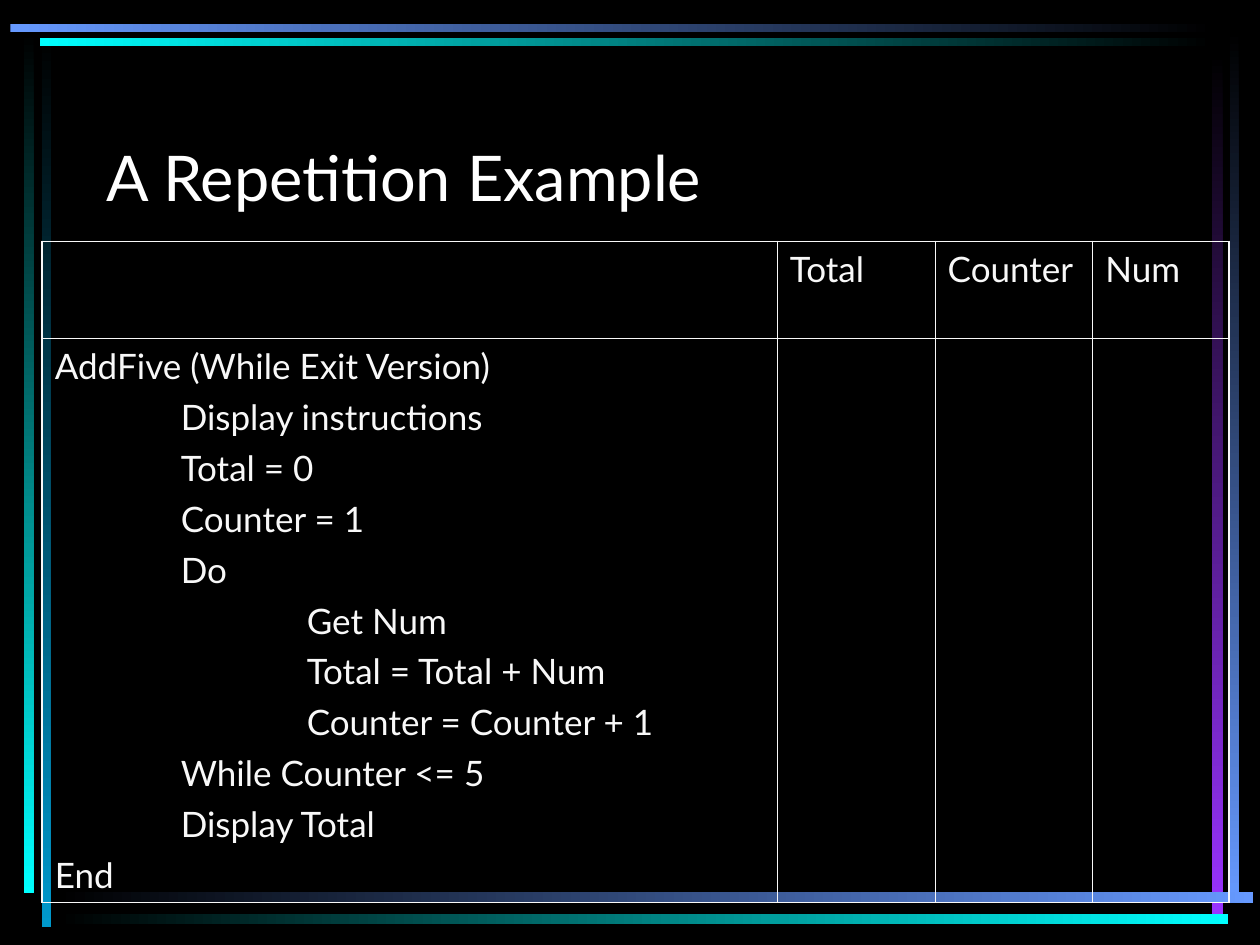
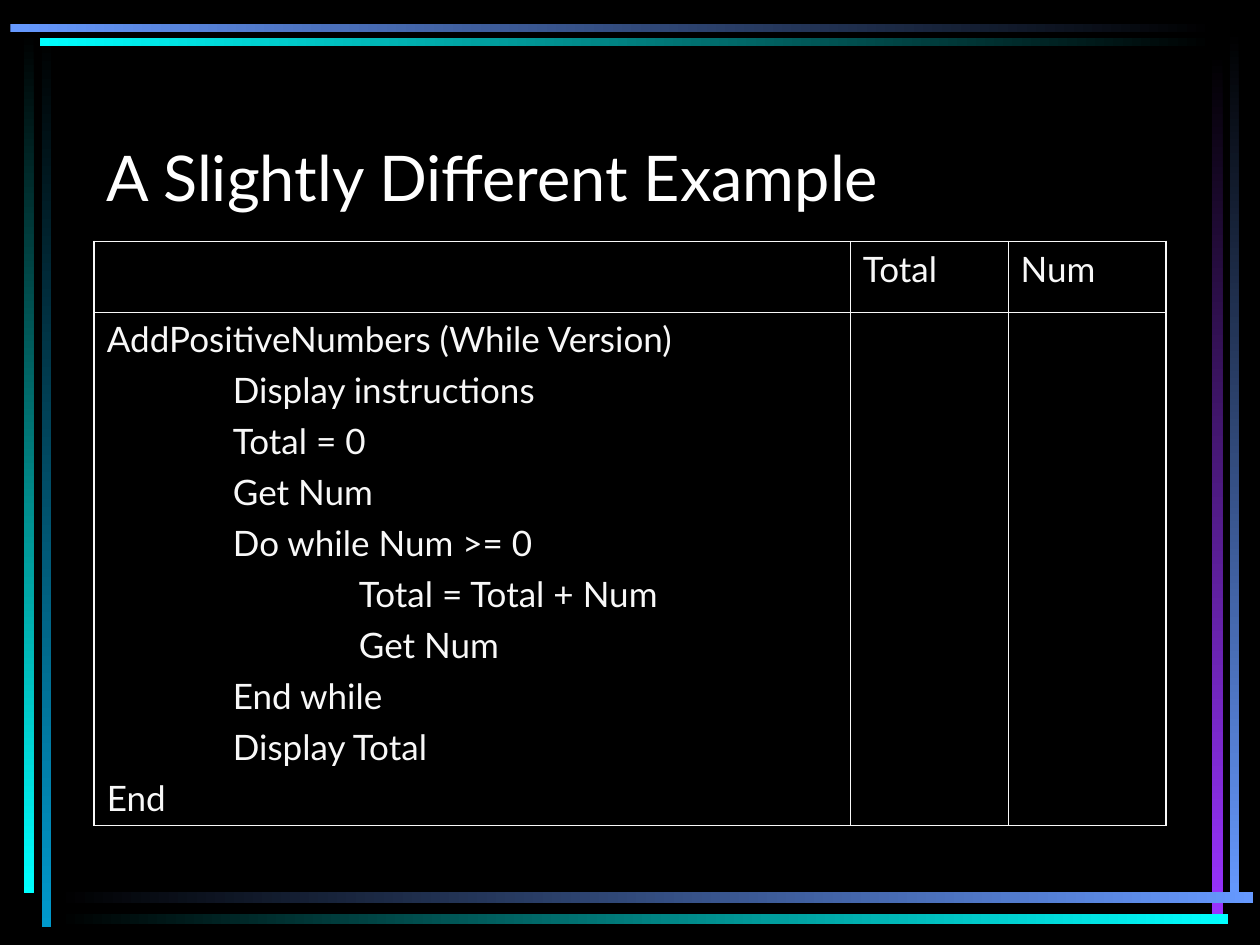
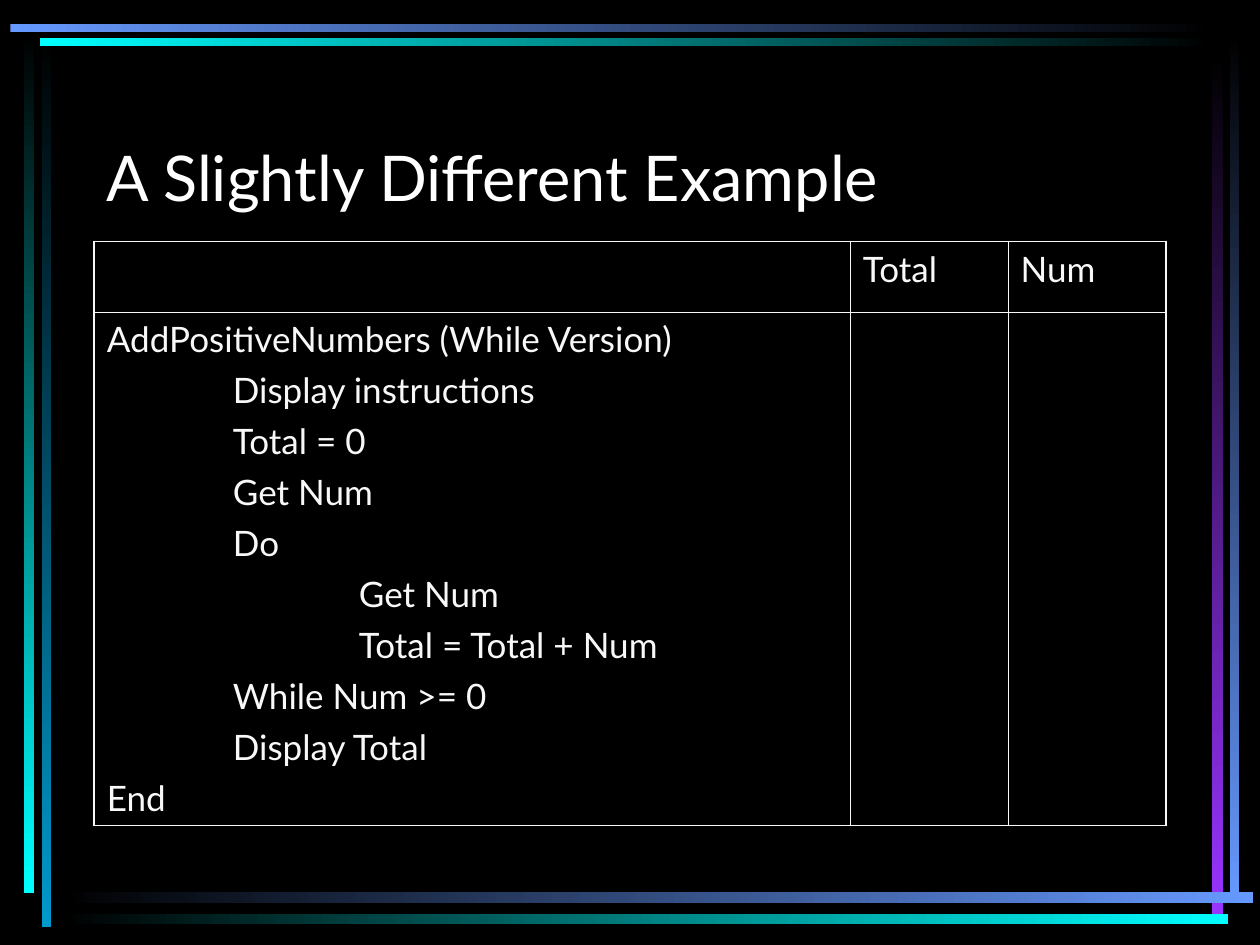
from lxml import etree
from pptx import Presentation
from pptx import util as u
from pptx.dml.color import RGBColor
from pptx.enum import shapes, text
from pptx.oxml.ns import qn

FONT = "Lato"
BLACK, WHITE, OFF_WHITE = "000000", "FFFFFF", "F8F8F8"
BLUE, CYAN, TEAL, PURPLE = "6699FF", "00FFFF", "0099CC", "9933FF"
THIN, THICK = u.Pt(0.45), u.Pt(1.08)
TABLE_TOP = 4.87
INDENT = 2.54
TOP_DOWN, LEFT_RIGHT = 270, 0

# left, top, width, height, start colour, end colour, gradient angle
FRAME_BARS = [
    (0.84, 0.71, 0.2, 17.98, BLACK, TEAL, TOP_DOWN),
    (0.48, 0.64, 0.2, 17.37, BLACK, CYAN, TOP_DOWN),
    (24.79, 0.61, 0.18, 17.6, BLACK, BLUE, TOP_DOWN),
    (24.43, 1.07, 0.22, 17.35, BLACK, PURPLE, TOP_DOWN),
    (1.14, 17.98, 24.13, 0.22, BLACK, BLUE, LEFT_RIGHT),
    (1.14, 18.42, 23.62, 0.2, BLACK, CYAN, LEFT_RIGHT),
    (0.81, 0.77, 23.67, 0.16, CYAN, BLACK, LEFT_RIGHT),
    (0.21, 0.48, 24.28, 0.17, BLUE, BLACK, LEFT_RIGHT),
]

# Each line of pseudocode is (indent level, words).
ADD_FIVE = [
    (0, "AddFive (While Exit Version)"),
    (1, "Display instructions"),
    (1, "Total = 0"),
    (1, "Counter = 1"),
    (1, "Do"),
    (2, "Get Num"),
    (2, "Total = Total + Num"),
    (2, "Counter = Counter + 1"),
    (1, "While Counter <= 5"),
    (1, "Display Total"),
    (0, "End"),
]
ADD_POSITIVE_START = [
    (0, "AddPositiveNumbers (While Version)"),
    (1, "Display instructions"),
    (1, "Total = 0"),
    (1, "Get Num"),
]
ADD_POSITIVE_END = [(1, "Display Total"), (0, "End")]
TEST_FIRST_LOOP = [
    (1, "Do while Num >= 0"),
    (2, "Total = Total + Num"),
    (2, "Get Num"),
    (1, "End while"),
]
TEST_LAST_LOOP = [
    (1, "Do"),
    (2, "Get Num"),
    (2, "Total = Total + Num"),
    (1, "While Num >= 0"),
]


def rgb(value):
    return RGBColor.from_string(value)


class Deck:
    def __init__(self):
        self.presentation = Presentation()
        self.presentation.slide_width = u.Cm(25.4)
        self.presentation.slide_height = u.Cm(19.05)
        self.master = self.presentation.slide_master
        background = self.master.background.fill
        background.solid()
        background.fore_color.rgb = rgb(BLACK)
        self.slide = None

    def add_slide(self, title):
        layout = self.presentation.slide_layouts.get_by_name("Title Only")
        self.slide = self.presentation.slides.add_slide(layout)
        shape = self.slide.shapes.title
        shape.left, shape.top = u.Cm(1.9), u.Cm(1.69)
        shape.width, shape.height = u.Cm(21.59), u.Cm(2.75)
        frame = shape.text_frame
        frame.text = title
        frame.auto_size = text.MSO_AUTO_SIZE.NONE
        frame.vertical_anchor = text.MSO_ANCHOR.BOTTOM
        paragraph = frame.paragraphs[0]
        paragraph.alignment = text.PP_ALIGN.LEFT
        self.style(paragraph, 36, WHITE)

    def style(self, paragraph, size, colour):
        font = paragraph.font
        font.name, font.size = FONT, u.Pt(size)
        font.color.rgb = rgb(colour)

    def add_master_bars(self):
        """Draw the bars on the current slide and move them to the master, at the back."""
        for index, (left, top, width, height, start, end, angle) in enumerate(FRAME_BARS):
            bar = self.slide.shapes.add_shape(
                shapes.MSO_SHAPE.RECTANGLE,
                u.Cm(left), u.Cm(top), u.Cm(width), u.Cm(height))
            bar.name = f"Frame bar {index + 1}"
            bar.shadow.inherit = False
            bar.line.fill.background()
            bar.fill.gradient()
            bar.fill.gradient_angle = angle
            for stop, colour in zip(bar.fill.gradient_stops, (start, end)):
                stop.color.rgb = rgb(colour)
            bar.element.nvSpPr.cNvPr.set("id", str(100 + index))
            self.master.shapes.element.insert(2 + index, bar.element)

    def add_trace_table(self, left, columns, rows, variables, code):
        """Add a table with pseudocode on the left and a column for each variable."""
        table = self.slide.shapes.add_table(
            len(rows), len(columns), u.Cm(left), u.Cm(TABLE_TOP),
            u.Cm(sum(columns)), u.Cm(sum(rows))).table
        table.first_row = table.horz_banding = False
        for column, width in zip(table.columns, columns):
            column.width = u.Cm(width)
        for row, height in zip(table.rows, rows):
            row.height = u.Cm(height)
        last_row, last_column = len(rows) - 1, len(columns) - 1
        for r in range(len(rows)):
            for c in range(len(columns)):
                cell = table.cell(r, c)
                outer = {"L": c == 0, "R": c == last_column,
                         "T": r == 0, "B": r == last_row}
                self.border(cell, outer)
                cell.fill.background()
        for c, variable in enumerate(variables, 1):
            self.write_lines(table.cell(0, c), [(0, variable)])
        self.write_lines(table.cell(1, 0), code)

    def border(self, cell, outer):
        """Draw thick lines on outer sides and thin ones elsewhere."""
        properties = cell._tc.get_or_add_tcPr()
        for side, is_outer in outer.items():
            line = etree.SubElement(properties, qn(f"a:ln{side}"),
                                    w=str(THICK if is_outer else THIN))
            fill = etree.SubElement(line, qn("a:solidFill"))
            etree.SubElement(fill, qn("a:srgbClr"), val=OFF_WHITE)

    def write_lines(self, cell, lines):
        frame = cell.text_frame
        for index, (level, words) in enumerate(lines):
            paragraph = frame.add_paragraph() if index else frame.paragraphs[0]
            paragraph.text = words
            if level:
                paragraph._p.get_or_add_pPr().set("marL", str(u.Cm(level * INDENT)))
            if index:
                paragraph.space_before = u.Pt(5)
            self.style(paragraph, 20, OFF_WHITE)


def main():
    deck = Deck()
    deck.add_slide("A Repetition Example")
    deck.add_master_bars()
    deck.add_trace_table(0.85, [14.82, 3.18, 3.18, 2.75], [1.95, 11.33],
                         ["Total", "Counter", "Num"], ADD_FIVE)
    for loop in (TEST_FIRST_LOOP, TEST_LAST_LOOP):
        deck.add_slide("A Slightly Different Example")
        deck.add_trace_table(1.9, [15.24, 3.18, 3.18], [1.42, 10.31],
                             ["Total", "Num"],
                             ADD_POSITIVE_START + loop + ADD_POSITIVE_END)
    deck.presentation.save("out.pptx")


if __name__ == "__main__":
    main()
